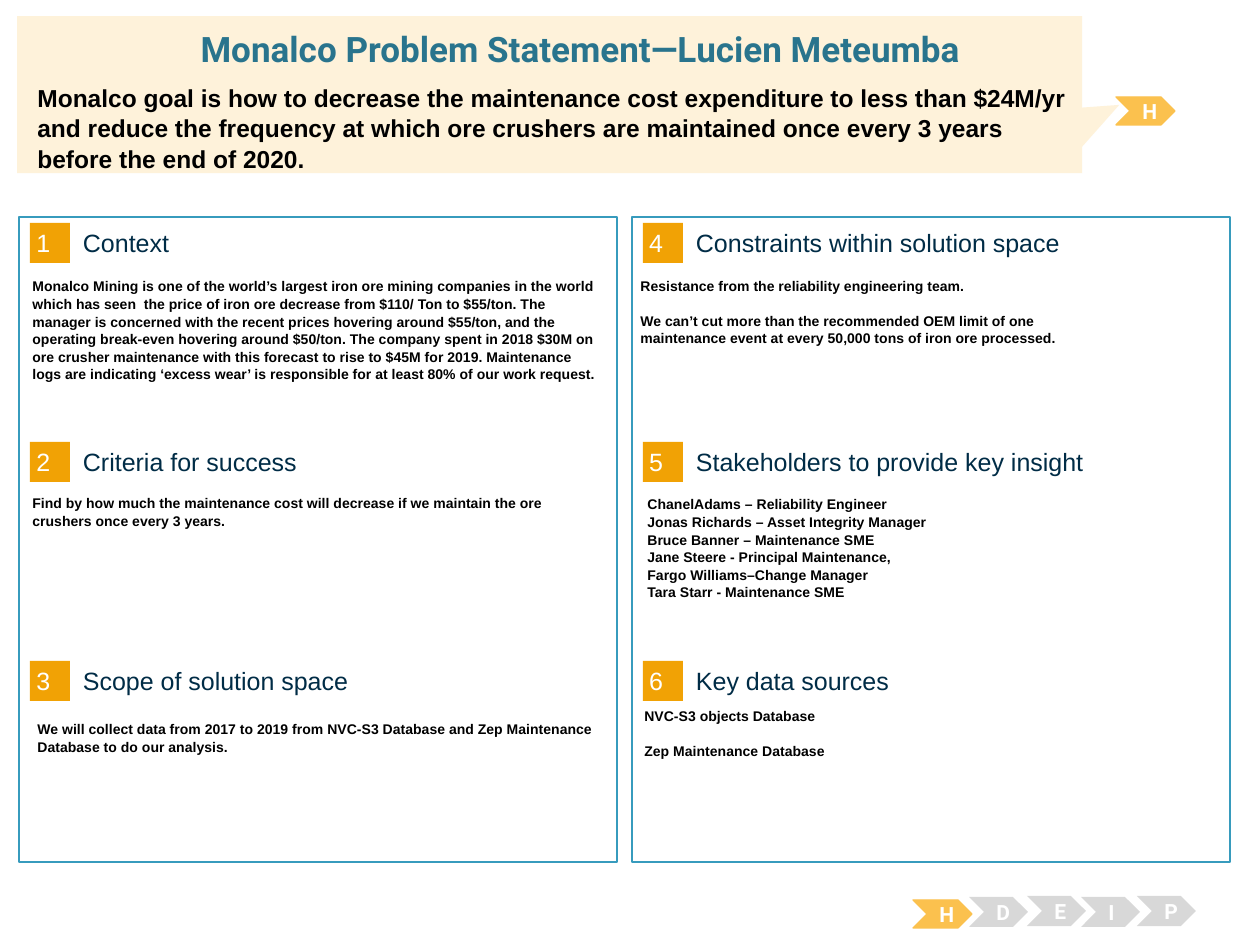
import dataclasses

import pptx
import pptx.dml.color
import pptx.enum.shapes
import pptx.enum.text
import pptx.util

SCALE = 914400 / 126
SHAPE = pptx.enum.shapes.MSO_SHAPE
ALIGN = pptx.enum.text.PP_ALIGN
ANCHOR = pptx.enum.text.MSO_ANCHOR


@dataclasses.dataclass(frozen=True)
class Theme:
    """Colours, fonts and type sizes of the slide."""
    white: str = "FFFFFF"
    black: str = "000000"
    navy: str = "002C46"
    teal: str = "29748D"
    frame: str = "379BBD"
    orange: str = "F1A205"
    amber: str = "FBC14E"
    grey: str = "D8D8D8"
    cream: str = "FEF2DA"
    sans: str = "Arial"
    display: str = "Roboto"
    title: float = 20
    lead: float = 14
    head: float = 14.3
    step: float = 12
    body: float = 8


THEME = Theme()
STYLES = {
    "title": dict(size=THEME.title, name=THEME.display, bold=True, color=THEME.teal),
    "lead": dict(size=THEME.lead, name=THEME.sans, bold=True, color=THEME.black),
    "head": dict(size=THEME.head, name=THEME.sans, bold=False, color=THEME.navy),
    "badge": dict(size=THEME.head, name=THEME.sans, bold=False, color=THEME.white),
    "step": dict(size=THEME.step, name=THEME.display, bold=True, color=THEME.white),
    "body": dict(size=THEME.body, name=THEME.sans, bold=True, color=THEME.black),
}

# Heading, body box, body paragraphs, gap before each later paragraph
PARTS = [
    ("Context", (20, 271, 596, 149), [
        "Monalco Mining is one of the world’s largest iron ore mining companies in the "
        "world which has seen  the price of iron ore decrease from $110/ Ton to $55/ton. "
        "The manager is concerned with the recent prices hovering around $55/ton, and the "
        "operating break-even hovering around $50/ton. The company spent in 2018 $30M on "
        "ore crusher maintenance with this forecast to rise to $45M for 2019. Maintenance "
        "logs are indicating ‘excess wear’ is responsible for at least 80% of our work "
        "request."], []),
    ("Criteria for success", (20, 488, 596, 194), [
        "Find by how much the maintenance cost will decrease if we maintain the ore "
        "crushers once every 3 years."], []),
    ("Scope of solution space", (25, 714, 596, 135), [
        "We will collect data from 2017 to 2019 from NVC-S3 Database and Zep Maintenance "
        "Database to do our analysis."], []),
    ("Constraints within solution space", (628, 271, 596, 113), [
        "Resistance from the reliability engineering team.",
        "We can’t cut more than the recommended OEM limit of one",
        "maintenance event at every 50,000 tons of iron ore processed."], [1]),
    ("Stakeholders to provide key insight", (635, 489, 596, 149), [
        "ChanelAdams – Reliability Engineer",
        "Jonas Richards – Asset Integrity Manager",
        "Bruce Banner – Maintenance SME",
        "Jane Steere - Principal Maintenance,",
        "Fargo Williams–Change Manager",
        "Tara Starr - Maintenance SME"], []),
    ("Key data sources", (632, 701, 596, 149), [
        "NVC-S3 objects Database", "Zep Maintenance Database"], [1]),
]
STEPS = [("H", 913, 900), ("D", 969, 897), ("E", 1027, 896), ("I", 1081, 897),
         ("P", 1137, 896)]


def px(num):
    """Turn picture pixels into EMU."""
    return pptx.util.Emu(round(num * SCALE))


def rgb(code):
    """Turn a hex code into a colour."""
    return pptx.dml.color.RGBColor.from_string(code)


def apply(item, values):
    """Set each named value on the item."""
    for key, value in values.items():
        setattr(item, key, value)


def write(shape, lines, style, inset=(0, 0), anchor=ANCHOR.TOP, align=ALIGN.LEFT,
          gaps=(), pitch=1.0):
    """Fill a shape with styled paragraphs; gaps lists those set apart by a line."""
    frame = shape.text_frame
    side, top = map(pptx.util.Inches, inset)
    apply(frame, dict(word_wrap=True, vertical_anchor=anchor, margin_left=side,
                      margin_right=side, margin_top=top, margin_bottom=top,
                      auto_size=pptx.enum.text.MSO_AUTO_SIZE.NONE))
    look = dict(STYLES[style])
    color = rgb(look.pop("color"))
    look["size"] = pptx.util.Pt(look["size"])
    for num, line in enumerate(lines):
        para = frame.paragraphs[0] if num == 0 else frame.add_paragraph()
        gap = pptx.util.Pt(9.6 if num in gaps else 0)
        apply(para, dict(alignment=align, line_spacing=pitch, space_before=gap))
        run = para.add_run()
        run.text = line
        apply(run.font, look)
        run.font.color.rgb = color


def block(slide, kind, box, fill, line=None, width=0.75):
    """Add a flat preset shape."""
    shape = slide.shapes.add_shape(kind, *map(px, box))
    shape.shadow.inherit = False
    shape.fill.solid()
    shape.fill.fore_color.rgb = rgb(fill)
    if line:
        shape.line.color.rgb = rgb(line)
        shape.line.width = pptx.util.Pt(width)
    else:
        shape.line.fill.background()
    return shape


def label(slide, box, lines, style, **opts):
    """Add a text box."""
    write(slide.shapes.add_textbox(*map(px, box)), lines, style, **opts)


def arrow(slide, text, left, top, live):
    """Add one step chevron, amber when live."""
    fill, line, high = (THEME.amber, THEME.amber, 28) if live else (THEME.grey, None, 30)
    shape = block(slide, SHAPE.CHEVRON, (left, top, 59, high), fill, line)
    write(shape, [text], "step", inset=(0.1, 0.05), anchor=ANCHOR.MIDDLE,
          align=ALIGN.CENTER)


def section(slide, num, part):
    """Add a numbered section in its grid cell."""
    head, box, lines, gaps = part
    col, row = divmod(num, 3)
    left, top = 30 + 613 * col, 223 + 219 * row
    badge = block(slide, SHAPE.RECTANGLE, (left, top, 40, 40), THEME.orange)
    write(badge, [str(num + 1)], "badge", inset=(0.05, 0.05), anchor=ANCHOR.MIDDLE)
    label(slide, (left + 53, top + 4, 495, 31), [head], "head", anchor=ANCHOR.MIDDLE)
    label(slide, box, lines, "body", inset=(0.1, 0.05), gaps=gaps, pitch=1.05)


def banner(slide):
    """Add the callout with the title and the goal."""
    call = block(slide, SHAPE.RECTANGULAR_CALLOUT, (17, 16, 1065, 157), THEME.cream)
    call.adjustments[0], call.adjustments[1] = 0.535, 0.066
    title = slide.shapes.title
    apply(title, dict(zip(("left", "top", "width", "height"),
                          map(px, (25, 27, 1111, 43)))))
    write(title, ["Monalco Problem Statement—Lucien Meteumba"], "title",
          align=ALIGN.CENTER)
    call.element.addnext(title.element)
    label(slide, (25, 75, 1056, 98), [
        "Monalco goal is how to decrease the maintenance cost expenditure to less than "
        "$24M/yr and reduce the frequency at which ore crushers are maintained once every "
        "3 years before the end of 2020."], "lead", inset=(0.1, 0.05), pitch=1.05)


def main():
    """Build the slide and save it."""
    deck = pptx.Presentation()
    apply(deck, dict(slide_width=px(1260), slide_height=px(945)))
    slide = deck.slides.add_slide(deck.slide_layouts[5])
    for col in range(2):
        block(slide, SHAPE.RECTANGLE, (19 + 613 * col, 217, 598, 645), THEME.white,
              THEME.frame, 1.5)
    for num, part in enumerate(PARTS):
        section(slide, num, part)
    for text, left, top in STEPS:
        arrow(slide, text, left, top, text == "H")
    arrow(slide, "H", 1116, 97, True)
    banner(slide)
    deck.save("out.pptx")


main()
